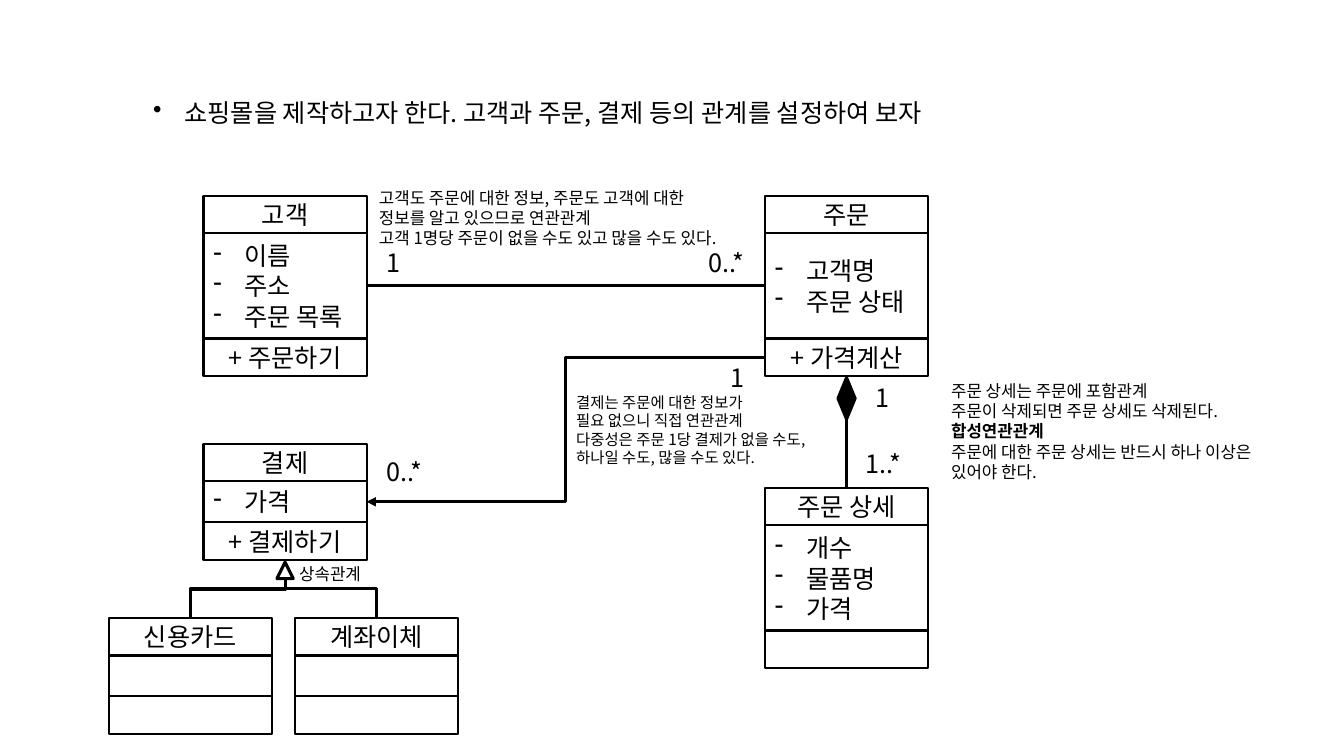
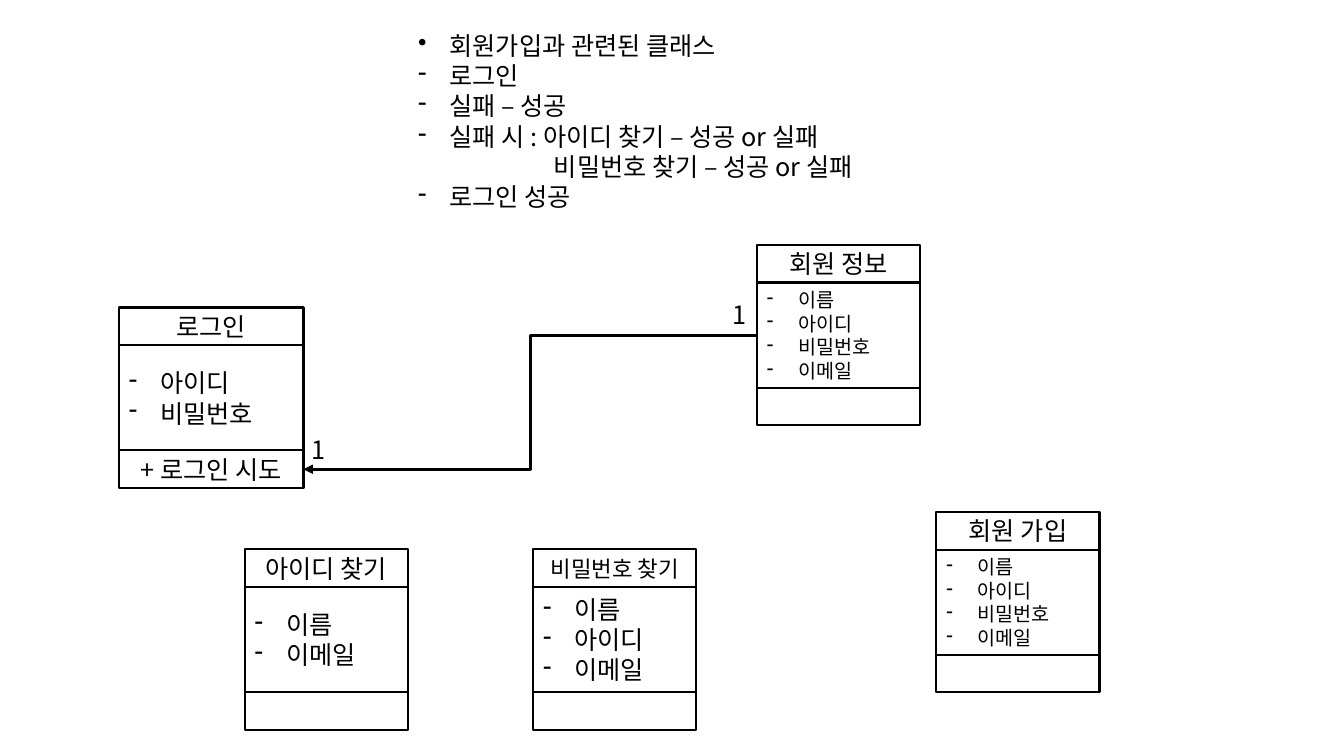
from lxml import etree
from pptx import Presentation
from pptx.dml.color import RGBColor
from pptx.enum.shapes import MSO_CONNECTOR, MSO_SHAPE
from pptx.enum.text import MSO_ANCHOR, MSO_AUTO_SIZE, PP_ALIGN
from pptx.oxml.ns import qn
from pptx.util import Cm, Pt

STRAIGHT, ELBOW = MSO_CONNECTOR.STRAIGHT, MSO_CONNECTOR.ELBOW
RECTANGLE, DIAMOND = MSO_SHAPE.RECTANGLE, MSO_SHAPE.DIAMOND
TRIANGLE = MSO_SHAPE.ISOSCELES_TRIANGLE
MIDDLE, GROW = MSO_ANCHOR.MIDDLE, MSO_AUTO_SIZE.SHAPE_TO_FIT_TEXT
LEFT, CENTER = PP_ALIGN.LEFT, PP_ALIGN.CENTER

FONT = "Noto Sans CJK KR"
BLACK, WHITE = "000000", "FFFFFF"
BOX_LINE, RELATION_LINE = 1.5, 2.25
BOX_WIDTH, ROW, TALL, SHORT = 4.11, 0.95, 2.65, 1.03
BULLET_INDENT = 0.79


def color(hex_code):
    """Turn a hex string into a colour."""
    return RGBColor.from_string(hex_code)


def set_line(item, width):
    """Give a shape or connector a black line."""
    item.line.color.rgb = color(BLACK)
    item.line.width = Pt(width)


def add_run(paragraph, text, size, bold=False):
    """Add one run in the shared font."""
    run = paragraph.add_run()
    run.text = text
    run.font.name = FONT
    run.font.size = Pt(size)
    run.font.bold = bold
    run.font.color.rgb = color(BLACK)
    east_asian = etree.SubElement(run.font._element, qn("a:ea"))
    east_asian.set("typeface", FONT)


def indent(paragraph, margin, first=0):
    """Set the left margin and first-line indent in centimetres."""
    properties = paragraph._p.get_or_add_pPr()
    properties.set("marL", str(Cm(margin)))
    properties.set("indent", str(Cm(first)))
    return properties


def set_bullet(paragraph, mark):
    """Give a paragraph a hanging bullet."""
    properties = indent(paragraph, BULLET_INDENT, -BULLET_INDENT)
    etree.SubElement(properties, qn("a:buChar")).set("char", mark)


def write(frame, lines, size=18, mark=None, align=LEFT, bold_line=None):
    """Write one paragraph per line and return the paragraphs."""
    paragraphs = []
    for number, line in enumerate(lines):
        paragraph = frame.add_paragraph() if number else frame.paragraphs[0]
        paragraph.alignment = align
        if mark:
            set_bullet(paragraph, mark)
        add_run(paragraph, line, size, line == bold_line)
        paragraphs.append(paragraph)
    return paragraphs


def add_frame(slide, left, top, width, height, wrap=False):
    """Add a text box and return its text frame."""
    box = slide.shapes.add_textbox(Cm(left), Cm(top), Cm(width), Cm(height))
    box.text_frame.word_wrap = wrap
    box.text_frame.auto_size = GROW
    return box.text_frame


def add_multiplicity(slide, left, top, text):
    """Add a multiplicity label such as 1 or 0..*."""
    width = 0.86 if len(text) == 1 else 1.42
    write(add_frame(slide, left, top, width, 1.02), [text])


def add_outline(shapes, kind, left, top, width, height, weight, fill=None):
    """Add a black-lined preset shape, hollow unless a fill is given."""
    shape = shapes.add_shape(kind, Cm(left), Cm(top), Cm(width), Cm(height))
    shape.shadow.inherit = False
    set_line(shape, weight)
    if fill:
        shape.fill.solid()
        shape.fill.fore_color.rgb = color(fill)
    else:
        shape.fill.background()
    return shape


def add_class(slide, left, top, name, attributes=(), method=None,
              width=BOX_WIDTH, body=TALL, name_size=18, attribute_size=18):
    """Add a class as a group of name, attribute and method rows."""
    group = slide.shapes.add_group_shape()
    rows = [(ROW, [name], name_size, None, CENTER),
            (body, attributes, attribute_size, "-", LEFT),
            (ROW, [method] if method else [], 18, None, CENTER)]
    for height, lines, size, mark, align in rows:
        row = add_outline(group.shapes, RECTANGLE, left, top, width, height, BOX_LINE)
        row.text_frame.vertical_anchor = MIDDLE
        row.text_frame.word_wrap = True
        write(row.text_frame, lines, size, mark, align)
        top += height
    return group


def right(box):
    """Right edge of a class."""
    return box.left + box.width


def bottom(box):
    """Bottom edge of a class."""
    return box.top + box.height


def center(box):
    """Horizontal centre of a class."""
    return box.left + box.width // 2


def middle(box):
    """Vertical centre of a class."""
    return box.top + box.height // 2


def method_middle(box):
    """Vertical centre of the method row of a class."""
    return bottom(box) - Cm(ROW / 2)


def connect(shapes, kind, start, end, arrow=False):
    """Add a relation line, optionally with an arrowhead at its end."""
    relation = shapes.add_connector(kind, *start, *end)
    set_line(relation, RELATION_LINE)
    if arrow:
        tail = etree.SubElement(relation.line._get_or_add_ln(), qn("a:tailEnd"))
        tail.set("type", "triangle")
    etree.SubElement(relation._element.spPr, qn("a:effectLst"))
    return relation


def inherit(shapes, child, parent):
    """Add an elbow that rises from a child class to its parent."""
    x1, y1, x2, y2 = center(child), child.top, center(parent), bottom(parent)
    cx, cy = (x1 + x2) // 2, (y1 + y2) // 2
    turned = [(cx - (y - cy), cy + (x - cx)) for x, y in ((x1, y1), (x2, y2))]
    relation = connect(shapes, ELBOW, *turned, arrow=True)
    relation._element.spPr.find(qn("a:xfrm")).set("rot", str(270 * 60000))


def build_shop(slide):
    """Shopping mall classes: customer, order, payment and details."""
    shapes = slide.shapes
    write(add_frame(slide, 3.61, 2.34, 22.25, 1.02),
          ["쇼핑몰을 제작하고자 한다. 고객과 주문, 결제 등의 관계를 설정하여 보자"], mark="•")
    customer = add_class(slide, 5.13, 4.93, "고객", ["이름", "주소", "주문 목록"], "+ 주문하기")
    order = add_class(slide, 19.28, 4.93, "주문", ["고객명", "주문 상태"], "+ 가격계산")
    payment = add_class(slide, 5.13, 11.18, "결제", ["가격"], "+ 결제하기", body=SHORT)
    card = add_class(slide, 2.74, 15.57, "신용카드", body=SHORT)
    transfer = add_class(slide, 7.44, 15.57, "계좌이체", body=SHORT)
    detail = add_class(slide, 19.28, 12.29, "주문 상세", ["개수", "물품명", "가격"])

    connect(shapes, STRAIGHT, (right(customer), middle(customer)),
            (order.left, middle(order)))
    connect(shapes, ELBOW, (order.left, method_middle(order)),
            (right(payment), middle(payment)), arrow=True)
    for child in (card, transfer):
        inherit(shapes, child, payment)
    add_outline(shapes, TRIANGLE, 6.98, 14.17, 0.41, 0.41, RELATION_LINE, WHITE)
    composition = shapes.add_group_shape().shapes
    connect(composition, STRAIGHT, (center(order), bottom(order)),
            (center(detail), detail.top))
    add_outline(composition, DIAMOND, 21.12, 9.52, 0.43, 1.04, RELATION_LINE, BLACK)

    for left, top, text in [(9.5, 6.1, "1"), (17.6, 6.1, "0..*"),
                            (18.16, 9, "1"), (9.5, 11.38, "0..*"),
                            (21.82, 9.52, "1"), (21.56, 11.18, "1..*")]:
        add_multiplicity(slide, left, top, text)
    write(add_frame(slide, 14.27, 9.78, 6.53, 2.13, wrap=True),
          ["결제는 주문에 대한 정보가", "필요 없으니 직접 연관관계",
           "다중성은 주문 1당 결제가 없을 수도, 하나일 수도, 많을 수도 있다."], 11)
    write(add_frame(slide, 9.3, 4.6, 10.26, 1.8),
          ["고객도 주문에 대한 정보, 주문도 고객에 대한", "정보를 알고 있으므로 연관관계",
           "고객 1명당 주문이 없을 수도 있고 많을 수도 있다."], 12)
    write(add_frame(slide, 7.29, 14.07, 2.24, 0.76), ["상속관계"], 12)
    write(add_frame(slide, 23.72, 9.47, 9.12, 2.82),
          ["주문 상세는 주문에 포함관계", "주문이 삭제되면 주문 상세도 삭제된다.",
           "합성연관관계", "주문에 대한 주문 상세는 반드시 하나 이상은",
           "있어야 한다."], 12, bold_line="합성연관관계")


def build_membership(slide):
    """Membership classes: login, member data, lookups and sign-up."""
    steps = add_frame(slide, 10.29, 0.64, 12.7, 4.88)
    title, *flow = write(steps, ["회원가입과 관련된 클래스", "로그인", "실패 – 성공",
                                 "실패 시 : 아이디 찾기 – 성공 or 실패",
                                 "비밀번호 찾기 – 성공 or 실패", "로그인 성공"])
    set_bullet(title, "•")
    password_step = flow.pop(3)
    indent(password_step, 3.42)
    for step in flow:
        set_bullet(step, "-")

    member_fields = ["이름", "아이디", "비밀번호", "이메일"]
    login = add_class(slide, 3, 7.75, "로그인", ["아이디", "비밀번호"],
                      "+ 로그인 시도", width=4.65)
    member = add_class(slide, 19.08, 6.17, "회원 정보", member_fields, attribute_size=14)
    connect(slide.shapes, ELBOW, (member.left, middle(member)),
            (right(login), method_middle(login)), arrow=True)
    add_multiplicity(slide, 7.59, 10.82, "1")
    add_multiplicity(slide, 18.21, 7.42, "1")
    add_class(slide, 6.17, 13.84, "아이디 찾기", ["이름", "이메일"])
    add_class(slide, 13.44, 13.84, "비밀번호 찾기", ["이름", "아이디", "이메일"], name_size=16)
    add_class(slide, 23.6, 12.9, "회원 가입", member_fields, attribute_size=14)


def main():
    """Build both class diagrams and save them."""
    deck = Presentation()
    deck.slide_width, deck.slide_height = Cm(33.87), Cm(19.05)
    for build in (build_shop, build_membership):
        build(deck.slides.add_slide(deck.slide_layouts[6]))
    deck.save("out.pptx")


main()
